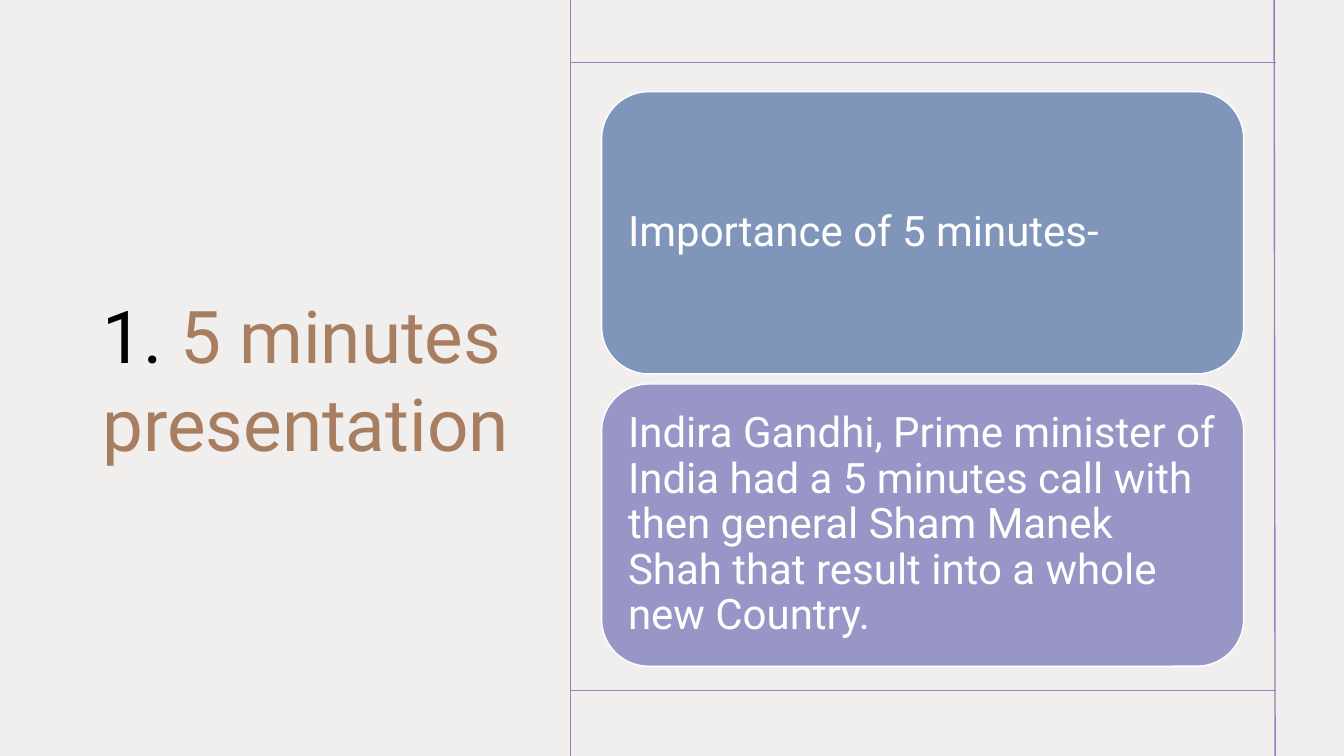
from typing import NamedTuple

from lxml.etree import SubElement
from pptx import Presentation
from pptx.dml.color import RGBColor
from pptx.enum.shapes import MSO_CONNECTOR, MSO_SHAPE
from pptx.enum.text import MSO_ANCHOR, PP_ALIGN
from pptx.oxml.ns import qn
from pptx.util import Pt

SLIDE_WIDTH, SLIDE_HEIGHT = 960, 540
FONT = "Roboto"
BACKGROUND, RULE, WHITE = "F1EEEE", "997FBA", "FFFFFF"

CARD_LEFT, CARD_TOP = 429.8, 65.5
CARD_WIDTH, CARD_HEIGHT, CARD_GAP = 458.6, 201.6, 7.2


class Rule(NamedTuple):
    start_x: float
    start_y: float
    end_x: float
    end_y: float


class Card(NamedTuple):
    text: str
    fill: str


RULES = [
    Rule(407.5, 44.6, 911.5, 44.6),
    Rule(407.5, 493.2, 911.5, 493.2),
    Rule(407.5, 0, 407.5, SLIDE_HEIGHT),
    Rule(910.1, 0, 910.8, SLIDE_HEIGHT),
]

CARDS = [
    Card("Importance of 5 minutes-", "7F96BA"),
    Card(
        "Indira Gandhi, Prime minister of India had a 5 minutes call with "
        "then general Sham Manek Shah that result into a whole new Country.",
        "9796C6",
    ),
]


def color(hex_string: str) -> RGBColor:
    return RGBColor.from_string(hex_string)


def add_text(paragraph, text: str, *, size: float, fill: str) -> None:
    run = paragraph.add_run()
    run.text = text
    run.font.name = FONT
    run.font.size = Pt(size)
    run.font.color.rgb = color(fill)


def add_background(slide) -> None:
    shape = slide.shapes.add_shape(
        MSO_SHAPE.RECTANGLE, 0, 0, Pt(SLIDE_WIDTH), Pt(SLIDE_HEIGHT)
    )
    shape.shadow.inherit = False
    shape.fill.solid()
    shape.fill.fore_color.rgb = color(BACKGROUND)
    shape.line.fill.background()


def add_title(slide) -> None:
    shape = slide.shapes.add_textbox(Pt(66.2), Pt(46), Pt(321.1), Pt(448.6))
    frame = shape.text_frame
    frame.word_wrap = True
    frame.vertical_anchor = MSO_ANCHOR.MIDDLE
    paragraph = frame.paragraphs[0]
    add_text(paragraph, "1. ", size=52, fill="000000")
    add_text(paragraph, "5 minutes presentation", size=52, fill="A87E61")


def add_rule(slide, rule: Rule) -> None:
    connector = slide.shapes.add_connector(
        MSO_CONNECTOR.STRAIGHT, *(Pt(value) for value in rule)
    )
    connector.line.color.rgb = color(RULE)
    connector.line.width = Pt(1)
    SubElement(connector._element.spPr, qn("a:effectLst"))


def add_card(slide, card: Card, top: float) -> None:
    shape = slide.shapes.add_shape(
        MSO_SHAPE.ROUNDED_RECTANGLE,
        Pt(CARD_LEFT), Pt(top), Pt(CARD_WIDTH), Pt(CARD_HEIGHT),
    )
    shape.shadow.inherit = False
    shape.fill.solid()
    shape.fill.fore_color.rgb = color(card.fill)
    shape.line.color.rgb = color(WHITE)
    shape.line.width = Pt(1)

    frame = shape.text_frame
    frame.word_wrap = True
    frame.vertical_anchor = MSO_ANCHOR.MIDDLE
    frame.margin_left = frame.margin_right = Pt(9)
    frame.margin_top = frame.margin_bottom = Pt(9)
    paragraph = frame.paragraphs[0]
    paragraph.alignment = PP_ALIGN.LEFT
    paragraph.line_spacing = 0.9
    add_text(paragraph, card.text, size=30, fill=WHITE)


def main() -> None:
    presentation = Presentation()
    presentation.slide_width = Pt(SLIDE_WIDTH)
    presentation.slide_height = Pt(SLIDE_HEIGHT)
    slide = presentation.slides.add_slide(presentation.slide_layouts[6])

    # Background and title
    add_background(slide)
    add_title(slide)

    # Frame lines around the cards
    for rule in RULES:
        add_rule(slide, rule)

    # Stacked cards
    for index, card in enumerate(CARDS):
        add_card(slide, card, CARD_TOP + index * (CARD_HEIGHT + CARD_GAP))

    presentation.save("out.pptx")


if __name__ == "__main__":
    main()
